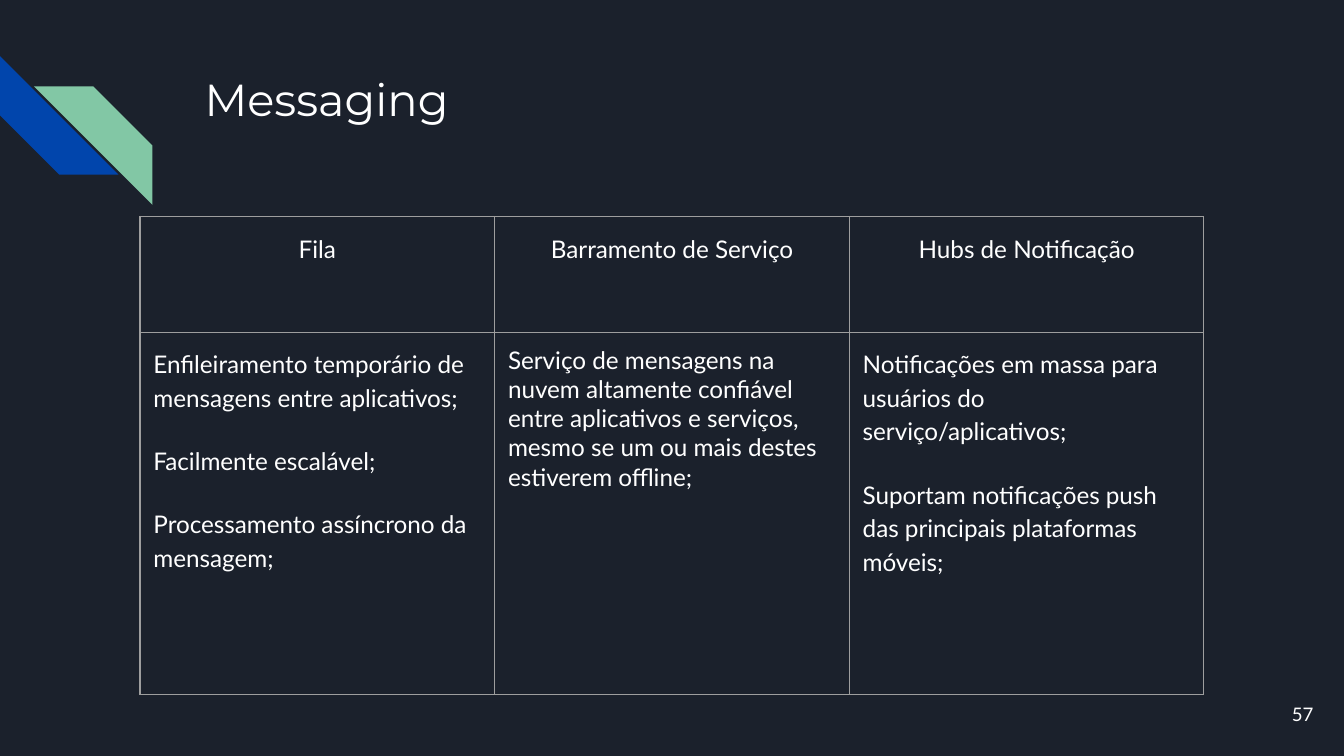
"""Build the Messaging slide: a comparison table of three messaging services."""
from lxml.etree import SubElement
from pptx import Presentation
from pptx.dml.color import RGBColor
from pptx.enum.shapes import MSO_SHAPE
from pptx.enum.text import MSO_ANCHOR, MSO_AUTO_SIZE, PP_ALIGN
from pptx.oxml.ns import qn
from pptx.util import Pt


def color(hex_value):
    return RGBColor.from_string(hex_value)


def write(frame, paragraphs, font, size, **formats):
    for index, (text, spacing) in enumerate(paragraphs):
        paragraph = frame.add_paragraph() if index else frame.paragraphs[0]
        run = paragraph.add_run()
        run.text = text
        run.font.name = font
        run.font.size = Pt(size)
        run.font.color.rgb = color("FFFFFF")
        for name, value in {**formats, **spacing}.items():
            setattr(paragraph, name, value)


deck = Presentation()
deck.slide_width, deck.slide_height = Pt(720), Pt(405)
slide = deck.slides.add_slide(deck.slide_layouts[5])
slide.background.fill.solid()
slide.background.fill.fore_color.rgb = color("1B212C")

for left, top, rotation, stripe_color in [(0, 30, 270, "0145AC"), (18.2, 46.3, 90, "82C7A5")]:
    stripe = slide.shapes.add_shape(MSO_SHAPE.DIAGONAL_STRIPE, Pt(left), Pt(top), Pt(63.5), Pt(63.5))
    stripe.rotation = rotation
    stripe.shadow.inherit = False
    stripe.fill.solid()
    stripe.fill.fore_color.rgb = color(stripe_color)
    stripe.line.fill.background()

heading = slide.shapes.title
heading.left, heading.top, heading.width, heading.height = Pt(102.4), Pt(31), Pt(554.4), Pt(72)
page_number = slide.shapes.add_textbox(Pt(667.5), Pt(367.2), Pt(43.2), Pt(31))

insets = {f"margin_{side}": Pt(7.2) for side in ("left", "right", "top", "bottom")}
text_areas = [
    (heading.text_frame, "Messaging", "Montserrat", 24, MSO_ANCHOR.TOP, PP_ALIGN.LEFT),
    (page_number.text_frame, "57", "Lato", 10, MSO_ANCHOR.MIDDLE, PP_ALIGN.RIGHT),
]
for frame, text, font, size, anchor, alignment in text_areas:
    frame_formats = {
        **insets,
        "word_wrap": True,
        "auto_size": MSO_AUTO_SIZE.NONE,
        "vertical_anchor": anchor,
    }
    for name, value in frame_formats.items():
        setattr(frame, name, value)
    write(frame, [(text, {})], font, size, alignment=alignment)

loose = {"line_spacing": 1.15}
spaced = {**loose, "space_before": Pt(16)}
header = {**loose, "space_after": Pt(16), "alignment": PP_ALIGN.CENTER}
services = [
    ("Fila", [
        ("Enfileiramento temporário de mensagens entre aplicativos;", loose),
        ("Facilmente escalável;", spaced),
        ("Processamento assíncrono da mensagem;", {**spaced, "space_after": Pt(16)}),
    ]),
    ("Barramento de Serviço", [
        ("Serviço de mensagens na nuvem altamente confiável entre aplicativos e serviços, "
         "mesmo se um ou mais destes estiverem offline;", {}),
    ]),
    ("Hubs de Notificação", [
        ("Notificações em massa para usuários do serviço/aplicativos;", loose),
        ("Suportam notificações push das principais plataformas móveis;", spaced),
    ]),
]

comparison = slide.shapes.add_table(2, 3, Pt(75), Pt(116), Pt(570), Pt(256)).table
comparison.first_row = comparison.horz_banding = False
comparison.rows[0].height, comparison.rows[1].height = Pt(62), Pt(194)

for column, (service, features) in enumerate(services):
    comparison.columns[column].width = Pt(190)
    for row, paragraphs in enumerate([[(service, header)], features]):
        cell = comparison.cell(row, column)
        for name, value in insets.items():
            setattr(cell, name, value)
        write(cell.text_frame, paragraphs, "Lato", 13)
        properties = cell._tc.get_or_add_tcPr()
        for edge in ("lnL", "lnR", "lnT", "lnB"):
            border = SubElement(properties, qn(f"a:{edge}"), w=str(Pt(0.75)))
            SubElement(SubElement(border, qn("a:solidFill")), qn("a:srgbClr"), val="9E9E9E")
        cell.fill.background()

deck.save("out.pptx")
